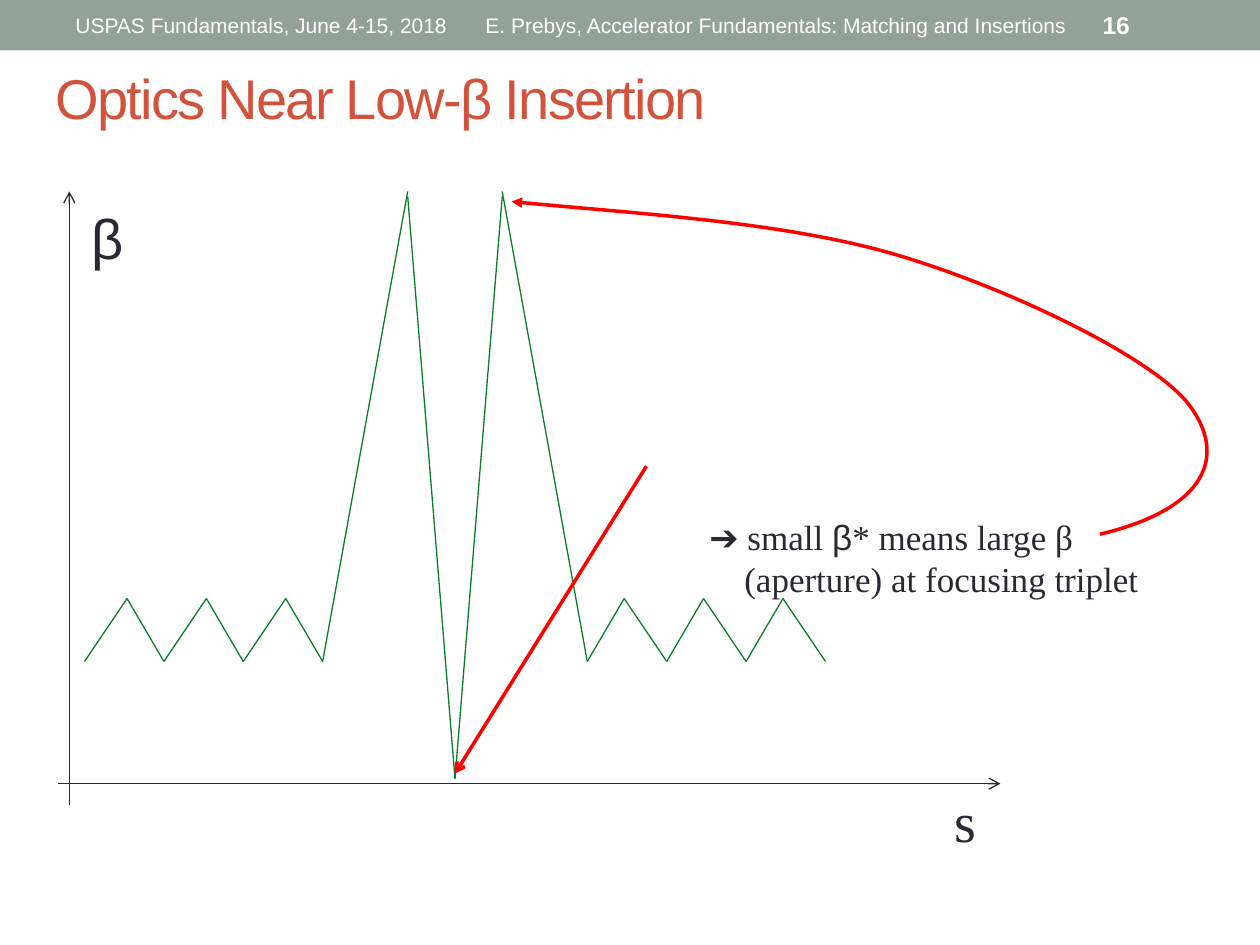
from dataclasses import dataclass
from itertools import pairwise

from pptx import Presentation
from pptx.dml.color import RGBColor
from pptx.enum.shapes import MSO_CONNECTOR, MSO_SHAPE
from pptx.enum.text import MSO_ANCHOR, MSO_AUTO_SIZE, PP_ALIGN
from pptx.oxml.ns import qn
from pptx.util import Pt
from lxml.etree import SubElement

WHITE = RGBColor(0xFF, 0xFF, 0xFF)
BAND = RGBColor(0x93, 0xA2, 0x99)
TITLE = RGBColor(0xD2, 0x53, 0x3C)
INK = RGBColor(0x29, 0x29, 0x34)
GREEN = RGBColor(0x09, 0x7D, 0x27)
RED = RGBColor(0xFF, 0x00, 0x00)
SANS, SERIF = "Arial", "Times New Roman"

Point = tuple[float, float]


@dataclass
class Span:
    text: str
    font: str = SANS


@dataclass
class Label:
    left: float
    top: float
    width: float
    height: float
    size: float
    color: RGBColor
    spans: list[Span]
    anchor: MSO_ANCHOR = MSO_ANCHOR.MIDDLE
    align: PP_ALIGN = PP_ALIGN.LEFT
    bold: bool = False
    spacing: float = 0
    hanging: float = 0
    inset_top: float = 3.6


LABELS = [
    Label(24.5, 31.7, 538.6, 47.5, 32, TITLE,
          [Span("Optics Near Low-β Insertion")], spacing=-1),
    Label(36, 1.4, 228, 26, 12, WHITE, [Span("USPAS Fundamentals, June 4-15, 2018")]),
    Label(270, 1.4, 347, 26, 12, WHITE,
          [Span("E. Prebys, Accelerator Fundamentals: Matching and Insertions")],
          align=PP_ALIGN.CENTER),
    Label(623, 1.4, 61, 26, 14, WHITE, [Span("16")], bold=True),
    Label(398.2, 289.4, 284.4, 55.4, 20, INK,
          [Span("➔"), Span(" small ", SERIF), Span("β"),
           Span("* means large β\v(aperture) at focusing triplet", SERIF)],
          anchor=MSO_ANCHOR.TOP, hanging=20, inset_top=5),
    Label(538.6, 442.1, 20.9, 28.8, 32, INK, [Span("s", SERIF)],
          anchor=MSO_ANCHOR.TOP, inset_top=7.2),
    Label(45.4, 109.4, 20.9, 28.8, 32, INK, [Span("β")],
          anchor=MSO_ANCHOR.TOP, inset_top=7.2),
]

# Beta function left of the interaction point; the right side mirrors it.
CENTER, CELL, CELLS = 260, 45.36, 3
TROUGH, PEAK = 378, 342
FIRST_TROUGH, FIRST_PEAK = 48.3, 72.6
TRIPLET_X = 233

APERTURE_CURVE = [
    (628.6, 305.3), (691.9, 290.2), (699.8, 259.2), (680.4, 232.6),
    (661.7, 205.9), (578.9, 165.6), (514.1, 146.2),
    (449.3, 126.7), (356.4, 121.7), (292.3, 115.2),
]
CURVE_WIDTH = 397.4


def add_label(shapes, label: Label) -> None:
    box = shapes.add_textbox(*map(Pt, (label.left, label.top, label.width, label.height)))
    frame_format = {
        "word_wrap": True,
        "auto_size": MSO_AUTO_SIZE.NONE,
        "vertical_anchor": label.anchor,
        "margin_top": Pt(label.inset_top),
    }
    if label.anchor == MSO_ANCHOR.TOP:
        frame_format["auto_size"] = MSO_AUTO_SIZE.SHAPE_TO_FIT_TEXT
    for name, value in frame_format.items():
        setattr(box.text_frame, name, value)

    para = box.text_frame.paragraphs[0]
    para.alignment = label.align
    if label.hanging:
        properties = para._p.get_or_add_pPr()
        properties.set("marL", str(Pt(label.hanging)))
        properties.set("indent", str(-Pt(label.hanging)))
    for span in label.spans:
        for index, line in enumerate(span.text.split("\v")):
            if index:
                para.add_line_break()
            run = para.add_run()
            run.text = line
            font_format = {"name": span.font, "size": Pt(label.size), "bold": label.bold}
            for name, value in font_format.items():
                setattr(run.font, name, value)
            run.font.color.rgb = label.color
            if label.spacing:
                run._r.get_or_add_rPr().set("spc", str(round(label.spacing * 100)))


def style_line(shape, color: RGBColor, width: float, arrow: str = "") -> None:
    shape.line.color.rgb = color
    shape.line.width = Pt(width)
    if arrow:
        SubElement(shape.line._get_or_add_ln(), qn("a:tailEnd")).set("type", arrow)


def add_line(shapes, start: Point, end: Point, color: RGBColor,
             width: float = 0.75, arrow: str = "") -> None:
    line = shapes.add_connector(MSO_CONNECTOR.STRAIGHT, *map(Pt, (*start, *end)))
    style_line(line, color, width, arrow)
    SubElement(line._element.spPr, qn("a:effectLst"))


def add_beta_side(slide_shapes, mirrored: bool) -> None:
    """Draw the regular cells, the rise to the triplet and the drop to the waist."""
    def place(x: float, y: float) -> Point:
        return (2 * CENTER - x if mirrored else x, y)

    points = []
    for cell in range(CELLS):
        points.append(place(FIRST_TROUGH + cell * CELL, TROUGH))
        points.append(place(FIRST_PEAK + cell * CELL, PEAK))
    points.append(place(FIRST_TROUGH + CELLS * CELL, TROUGH))
    points.append(place(TRIPLET_X, 109.4))

    group = slide_shapes.add_group_shape()
    for start, end in pairwise(points):
        add_line(group.shapes, start, end, GREEN)
    add_line(group.shapes, place(TRIPLET_X, 112.3), (CENTER, 445), GREEN)


def add_curve(shapes, points: list[Point], width: float) -> None:
    """Draw cubic segments; each takes two control points and an end point."""
    (start_x, start_y), *rest = points
    builder = shapes.build_freeform(Pt(start_x), Pt(start_y))
    builder.add_line_segments([(Pt(x), Pt(y)) for x, y in rest], close=False)
    curve = builder.convert_to_shape()
    curve.shadow.inherit = False
    curve.fill.background()
    style_line(curve, RED, 2, "triangle")

    outline = curve._element.xpath(".//a:pathLst/*")[0]
    segments = outline.findall(qn("a:lnTo"))
    for first in range(0, len(segments), 3):
        cubic = SubElement(outline, qn("a:cubicBezTo"))
        for segment in segments[first:first + 3]:
            cubic.append(segment[0])
            outline.remove(segment)
    # Control points reach beyond the visible curve, so the frame is narrowed.
    curve.width = Pt(width)
    outline.set("w", str(Pt(width)))


def main() -> None:
    deck = Presentation()
    deck.slide_width, deck.slide_height = Pt(720), Pt(540)
    shapes = deck.slides.add_slide(deck.slide_layouts[6]).shapes

    band = shapes.add_shape(MSO_SHAPE.RECTANGLE, 0, 0, Pt(720), Pt(28.8))
    band.shadow.inherit = False
    band.fill.solid()
    band.fill.fore_color.rgb = BAND
    band.line.fill.background()

    for mirrored in (False, True):
        add_beta_side(shapes, mirrored)
    add_line(shapes, (369.4, 266.4), (CENTER, 442), RED, 2, "arrow")
    add_curve(shapes, APERTURE_CURVE, CURVE_WIDTH)
    add_line(shapes, (33.1, 447.8), (571.7, 447.8), INK, arrow="arrow")
    add_line(shapes, (39.6, 460), (39.6, 109.4), INK, arrow="arrow")
    for label in LABELS:
        add_label(shapes, label)

    deck.save("out.pptx")


if __name__ == "__main__":
    main()
